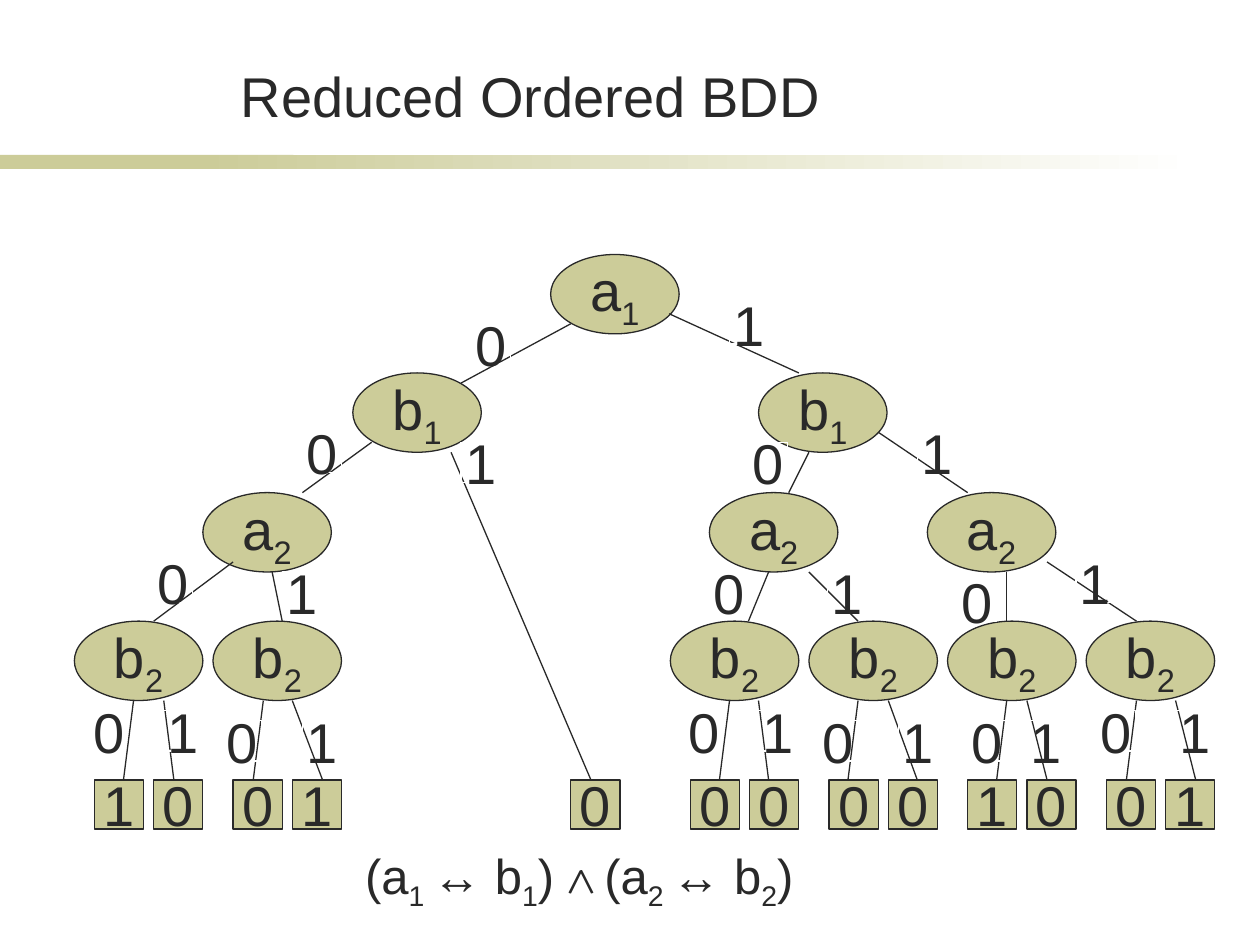
from dataclasses import dataclass
from typing import NamedTuple

from lxml.etree import SubElement
from pptx import Presentation
from pptx.dml.color import RGBColor
from pptx.enum.shapes import MSO_CONNECTOR, MSO_SHAPE
from pptx.enum.text import MSO_ANCHOR, MSO_AUTO_SIZE, PP_ALIGN
from pptx.oxml.ns import qn
from pptx.util import Inches, Pt


@dataclass(frozen=True)
class Theme:
    ink: RGBColor = RGBColor(0x29, 0x29, 0x29)
    olive: RGBColor = RGBColor(0xCC, 0xCC, 0x99)
    white: RGBColor = RGBColor(0xFF, 0xFF, 0xFF)
    font: str = "Arial"
    symbol_font: str = "Vollkorn"
    main_size: float = 32
    formula_size: float = 28
    line_width: float = 0.75


class Span(NamedTuple):
    text: str
    subscript: bool = False
    font: str | None = None


class Node(NamedTuple):
    letter: str
    index: str
    left: float
    top: float


class Label(NamedTuple):
    bit: str
    left: float
    top: float
    width: float = 0.31


class Edge(NamedTuple):
    start: tuple[float, float]
    end: tuple[float, float]
    label: Label


class Cluster(NamedTuple):
    """A bottom decision node; x values are offsets from its left side."""
    left: float
    bits: str
    starts: tuple[float, float]
    ends: tuple[float, float]
    labels: tuple[float, float]
    label_top: float
    zero_width: float = 0.31


THEME = Theme()
NODE_SIZE = (1.02, 0.63)
LEAF_SIDE = 0.39
LABEL_HEIGHT = 0.32
LEVELS = (2.02, 2.96, 3.91, 4.93)
LEAF_TOP = 6.19
LEAF_OFFSETS = (0.16, 0.63)

UPPER_NODES = [
    Node("a", "1", 4.37, LEVELS[0]),
    *(Node("b", "1", left, LEVELS[1]) for left in (2.8, 6.02)),
    *(Node("a", "2", left, LEVELS[2]) for left in (1.61, 5.63, 7.36)),
]
UPPER_EDGES = [
    Edge((4.53, 2.57), (3.66, 3.04), Label("0", 3.74, 2.57)),
    Edge((5.31, 2.49), (6.34, 2.96), Label("1", 5.79, 2.41)),
    Edge((2.95, 3.51), (2.4, 3.91), Label("0", 2.4, 3.43)),
    Edge((3.58, 3.59), (4.69, 6.19), Label("1", 3.66, 3.51)),
    Edge((6.42, 3.59), (6.26, 3.91), Label("0", 5.94, 3.51)),
    Edge((6.97, 3.43), (7.68, 3.91), Label("1", 7.28, 3.43)),
    Edge((1.85, 4.46), (1.22, 4.93), Label("0", 1.22, 4.46)),
    Edge((2.16, 4.54), (2.24, 4.93), Label("1", 2.24, 4.54)),
    Edge((6.1, 4.54), (5.94, 4.93), Label("0", 5.63, 4.54)),
    Edge((6.42, 4.54), (6.81, 4.93), Label("1", 6.57, 4.54)),
    Edge((7.99, 4.54), (7.99, 4.93), Label("0", 7.6, 4.61)),
    Edge((8.31, 4.46), (9.02, 4.93), Label("1", 8.54, 4.46)),
]
CLUSTERS = [
    Cluster(0.59, "10", (0.47, 0.71), (0.39, 0.79), (0.16, 0.71), 5.64, 0.24),
    Cluster(1.69, "01", (0.4, 0.63), (0.32, 0.87), (0.08, 0.71), 5.72),
    Cluster(5.32, "00", (0.47, 0.7), (0.39, 0.78), (0.15, 0.7), 5.64, 0.24),
    Cluster(6.42, "00", (0.39, 0.63), (0.31, 0.86), (0.08, 0.71), 5.72),
    Cluster(7.52, "10", (0.47, 0.63), (0.39, 0.79), (0.16, 0.63), 5.72),
    Cluster(8.62, "01", (0.4, 0.71), (0.32, 0.87), (0.08, 0.71), 5.64),
]
FORMULA = [
    Span("(a"), Span("1 ", True), Span("↔ b"), Span("1", True), Span(") "),
    Span("∧ ", font=THEME.symbol_font),
    Span("(a"), Span("2 ", True), Span("↔ b"), Span("2", True), Span(")"),
]


def apply(target: object, values: dict) -> None:
    """Set each named attribute on the target."""
    for name, value in values.items():
        setattr(target, name, value)


def write(frame, spans: list[Span], size: float, align: PP_ALIGN, **frame_format) -> None:
    """Fill a text frame with one paragraph of formatted spans."""
    apply(frame, frame_format)
    para = frame.paragraphs[0]
    para.alignment = align
    for span in spans:
        run = para.add_run()
        run.text = span.text
        apply(run.font, {"name": span.font or THEME.font, "size": Pt(size), "bold": False})
        run.font.color.rgb = THEME.ink
        if span.subscript:
            run._r.get_or_add_rPr().set("baseline", "-25000")


def add_box(page, kind: MSO_SHAPE, left: float, top: float, width: float, height: float,
            spans: list[Span], filled: bool = True) -> None:
    """Draw a centred-text shape, olive with dark outline or clear with white."""
    box = page.shapes.add_shape(kind, Inches(left), Inches(top), Inches(width), Inches(height))
    box.shadow.inherit = False
    if filled:
        box.fill.solid()
        box.fill.fore_color.rgb = THEME.olive
    else:
        box.fill.background()
    box.line.color.rgb = THEME.ink if filled else THEME.white
    box.line.width = Pt(THEME.line_width)
    write(box.text_frame, spans, THEME.main_size, PP_ALIGN.CENTER,
          word_wrap=False, vertical_anchor=MSO_ANCHOR.MIDDLE)


def add_node(page, node: Node) -> None:
    """Draw a decision node with its subscripted variable."""
    add_box(page, MSO_SHAPE.OVAL, node.left, node.top, *NODE_SIZE,
            [Span(node.letter), Span(node.index, True)])


def add_leaf(page, bit: str, left: float) -> None:
    """Draw a terminal square on the bottom row."""
    add_box(page, MSO_SHAPE.RECTANGLE, left, LEAF_TOP, LEAF_SIDE, LEAF_SIDE, [Span(bit)])


def add_edge(page, edge: Edge) -> None:
    """Draw the straight line of an edge."""
    line = page.shapes.add_connector(
        MSO_CONNECTOR.STRAIGHT, *(Inches(value) for value in edge.start + edge.end))
    line.line.color.rgb = THEME.ink
    line.line.width = Pt(THEME.line_width)
    SubElement(line._element.spPr, qn("a:effectLst"))


def add_label(page, label: Label) -> None:
    """Draw the branch value beside an edge."""
    add_box(page, MSO_SHAPE.RECTANGLE, label.left, label.top, label.width, LABEL_HEIGHT,
            [Span(label.bit)], filled=False)


def cluster_edges(cluster: Cluster) -> list[Edge]:
    """Return the two edges from a bottom node to its leaves."""
    return [
        Edge((cluster.left + start, LEVELS[3] + NODE_SIZE[1]), (cluster.left + end, LEAF_TOP),
             Label(bit, cluster.left + offset, cluster.label_top, width))
        for bit, start, end, offset, width in zip(
            "01", cluster.starts, cluster.ends, cluster.labels, (cluster.zero_width, 0.31))
    ]


def add_rule(page) -> None:
    """Draw the band under the title, solid and then fading to white."""
    for left, width, fades in ((0, 2.33, False), (1.58, 7.92, True)):
        band = page.shapes.add_shape(
            MSO_SHAPE.RECTANGLE, Inches(left), Inches(1.23), Inches(width), Inches(0.11))
        band.shadow.inherit = False
        band.line.fill.background()
        if fades:
            band.fill.gradient()
            band.fill.gradient_angle = 0
            for stop, colour in zip(band.fill.gradient_stops, (THEME.olive, THEME.white)):
                stop.color.rgb = colour
        else:
            band.fill.solid()
            band.fill.fore_color.rgb = THEME.olive


def main() -> None:
    """Build the decision diagram slide."""
    deck = Presentation()
    apply(deck, {"slide_width": Inches(10), "slide_height": Inches(7.5)})
    page = deck.slides.add_slide(deck.slide_layouts[5])
    add_rule(page)
    title = page.shapes.title
    apply(title, {"left": Inches(1.14), "top": Inches(0.44),
                  "width": Inches(6.14), "height": Inches(0.63)})
    write(title.text_frame, [Span("Reduced Ordered BDD")], THEME.main_size, PP_ALIGN.CENTER,
          word_wrap=True, auto_size=MSO_AUTO_SIZE.NONE, vertical_anchor=MSO_ANCHOR.BOTTOM)
    formula = page.shapes.add_textbox(Inches(2.8), Inches(6.66), Inches(4.33), Inches(0.71))
    write(formula.text_frame, FORMULA, THEME.formula_size, PP_ALIGN.LEFT, word_wrap=True)
    formula.text_frame.paragraphs[0].space_before = Pt(THEME.formula_size * 0.2)

    for node in UPPER_NODES + [Node("b", "2", c.left, LEVELS[3]) for c in CLUSTERS]:
        add_node(page, node)
    edges = UPPER_EDGES + [edge for cluster in CLUSTERS for edge in cluster_edges(cluster)]
    for edge in edges:
        add_edge(page, edge)
    add_leaf(page, "0", 4.53)
    for cluster in CLUSTERS:
        for bit, offset in zip(cluster.bits, LEAF_OFFSETS):
            add_leaf(page, bit, cluster.left + offset)
    for edge in edges:
        add_label(page, edge.label)
    deck.save("out.pptx")


if __name__ == "__main__":
    main()
